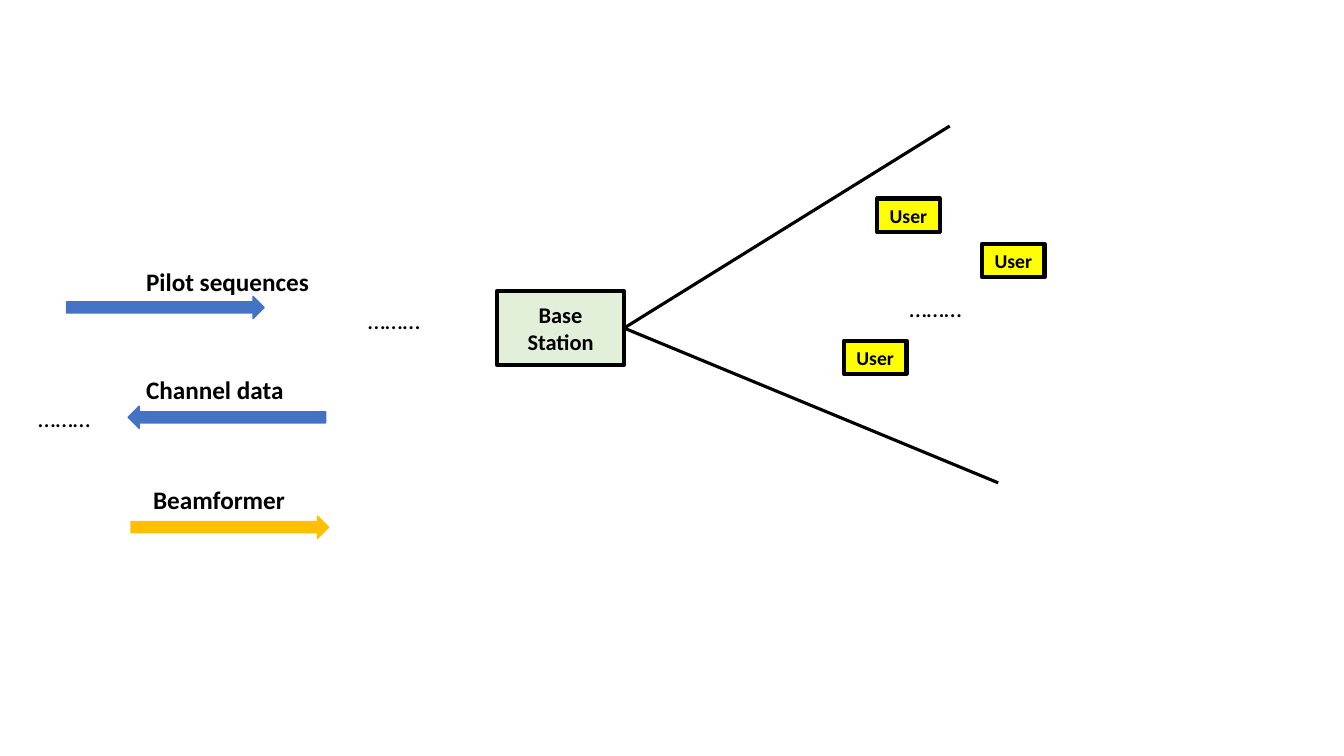
"""Build a slide of a base station serving users with pilot, channel and beamformer flows."""
from dataclasses import dataclass

from lxml.etree import SubElement
from pptx import Presentation
from pptx.dml.color import RGBColor
from pptx.enum.shapes import MSO_CONNECTOR, MSO_SHAPE
from pptx.enum.text import MSO_ANCHOR, PP_ALIGN
from pptx.oxml.ns import qn
from pptx.shapes.autoshape import Shape
from pptx.slide import Slide
from pptx.text.text import TextFrame
from pptx.util import Inches, Pt

COLORS = {
    "black": "000000",
    "station": "E2F0D9",
    "user": "FFFF00",
    "data": "4472C4",
    "beam": "FFC000",
}
FONT = "Calibri"
RIGHT_SIDE = 3


@dataclass(frozen=True)
class Box:
    text: str
    left: float
    top: float
    width: float
    height: float
    fill: str
    size: int
    side_margin: float


@dataclass(frozen=True)
class Label:
    text: str
    left: float
    top: float
    width: float
    bold: bool


@dataclass(frozen=True)
class Arrow:
    left: float
    top: float
    color: str
    rotation: int = 0


STATION = Box("Base Station", 4.93, 2.89, 1.26, 0.73, "station", 16, 0.2)
USERS = [
    Box("User", left, top, 0.62, 0.33, "user", 14, 0)
    for left, top in [(8.7, 1.97), (9.74, 2.42), (8.37, 3.38)]
]
LABELS = [
    Label("Pilot sequences", 1.35, 2.59, 2.19, True),
    Label("Channel data", 1.35, 3.66, 2.19, True),
    Label("Beamformer", 1.42, 4.76, 2.19, True),
    Label("………", 0.28, 3.94, 0.72, False),
    Label("………", 3.55, 2.97, 0.72, False),
    Label("………", 8.92, 2.85, 0.72, False),
]
ARROWS = [
    Arrow(0.66, 2.94, "data"),
    Arrow(1.27, 4.03, "data", 180),
    Arrow(1.3, 5.12, "beam"),
]
SECTOR_ENDS = [(9.42, 1.25), (9.9, 4.79)]


def color(name: str) -> RGBColor:
    return RGBColor.from_string(COLORS[name])


def write_text(frame: TextFrame, text: str, size: int, bold: bool) -> None:
    paragraph = frame.paragraphs[0]
    paragraph.text = text
    paragraph.font.name = FONT
    paragraph.font.size = Pt(size)
    paragraph.font.bold = bold
    paragraph.font.color.rgb = color("black")


def style_shape(shape: Shape, fill: str, line: str, line_width: float) -> None:
    shape.shadow.inherit = False
    shape.fill.solid()
    shape.fill.fore_color.rgb = color(fill)
    shape.line.color.rgb = color(line)
    shape.line.width = Pt(line_width)


def add_box(slide: Slide, box: Box) -> Shape:
    shape = slide.shapes.add_shape(
        MSO_SHAPE.RECTANGLE,
        Inches(box.left), Inches(box.top), Inches(box.width), Inches(box.height),
    )
    style_shape(shape, box.fill, "black", 3)
    frame = shape.text_frame
    frame.word_wrap = True
    frame.vertical_anchor = MSO_ANCHOR.MIDDLE
    frame.margin_left = frame.margin_right = Inches(box.side_margin)
    frame.margin_top = frame.margin_bottom = 0
    write_text(frame, box.text, box.size, True)
    frame.paragraphs[0].alignment = PP_ALIGN.CENTER
    return shape


def add_label(slide: Slide, label: Label) -> None:
    text_box = slide.shapes.add_textbox(
        Inches(label.left), Inches(label.top), Inches(label.width), Inches(0.4)
    )
    text_box.text_frame.word_wrap = label.bold
    write_text(text_box.text_frame, label.text, 18, label.bold)


def add_arrow(slide: Slide, arrow: Arrow) -> None:
    shape = slide.shapes.add_shape(
        MSO_SHAPE.RIGHT_ARROW,
        Inches(arrow.left), Inches(arrow.top), Inches(1.96), Inches(0.22),
    )
    shape.rotation = arrow.rotation
    style_shape(shape, arrow.color, arrow.color, 1)


def add_sector_edge(slide: Slide, station: Shape, end_x: float, end_y: float) -> None:
    connector = slide.shapes.add_connector(
        MSO_CONNECTOR.STRAIGHT,
        station.left + station.width, station.top + station.height // 2,
        Inches(end_x), Inches(end_y),
    )
    connector.begin_connect(station, RIGHT_SIDE)
    connector.line.color.rgb = color("black")
    connector.line.width = Pt(2.25)
    SubElement(connector.element.spPr, qn("a:effectLst"))


def main() -> None:
    presentation = Presentation()
    presentation.slide_width = Inches(13.33)
    presentation.slide_height = Inches(7.5)
    slide = presentation.slides.add_slide(presentation.slide_layouts[6])

    station = add_box(slide, STATION)
    for arrow in ARROWS:
        add_arrow(slide, arrow)
    for label in LABELS:
        add_label(slide, label)
    for end_x, end_y in SECTOR_ENDS:
        add_sector_edge(slide, station, end_x, end_y)
    for user in USERS:
        add_box(slide, user)

    presentation.save("out.pptx")


if __name__ == "__main__":
    main()
